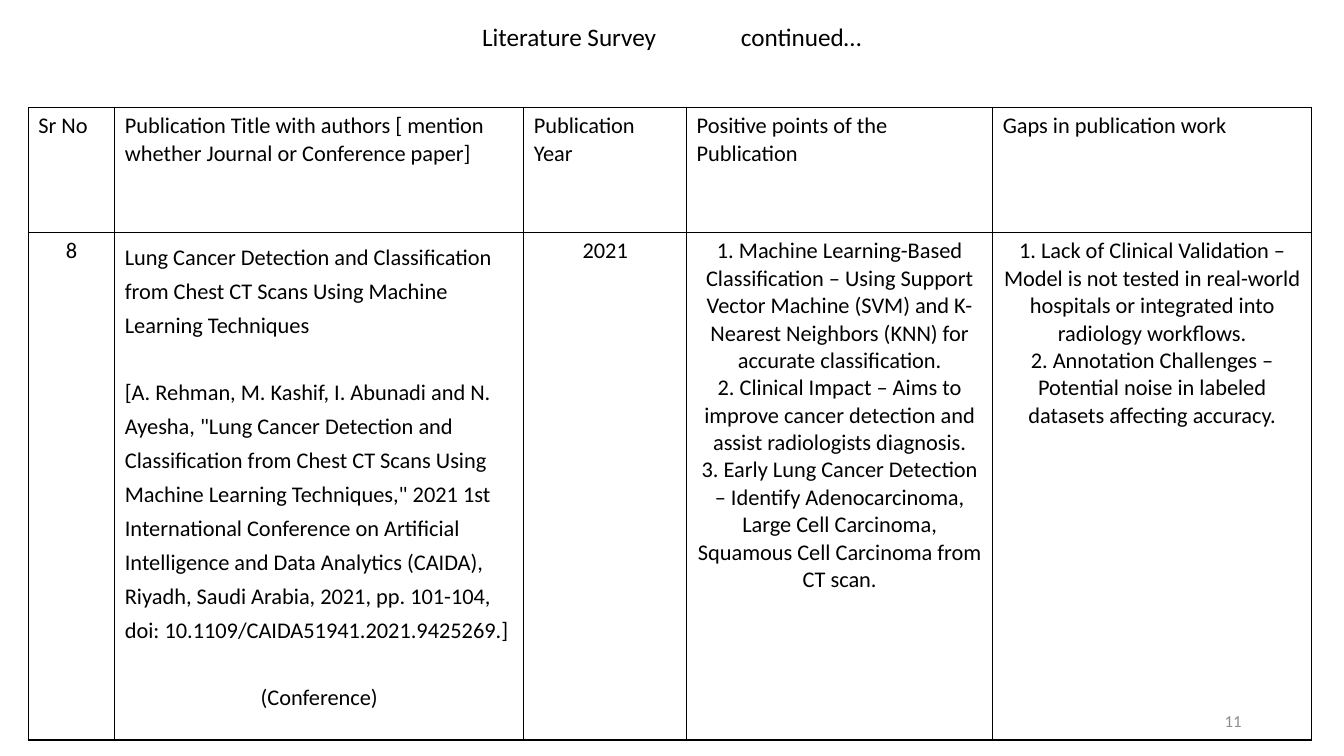
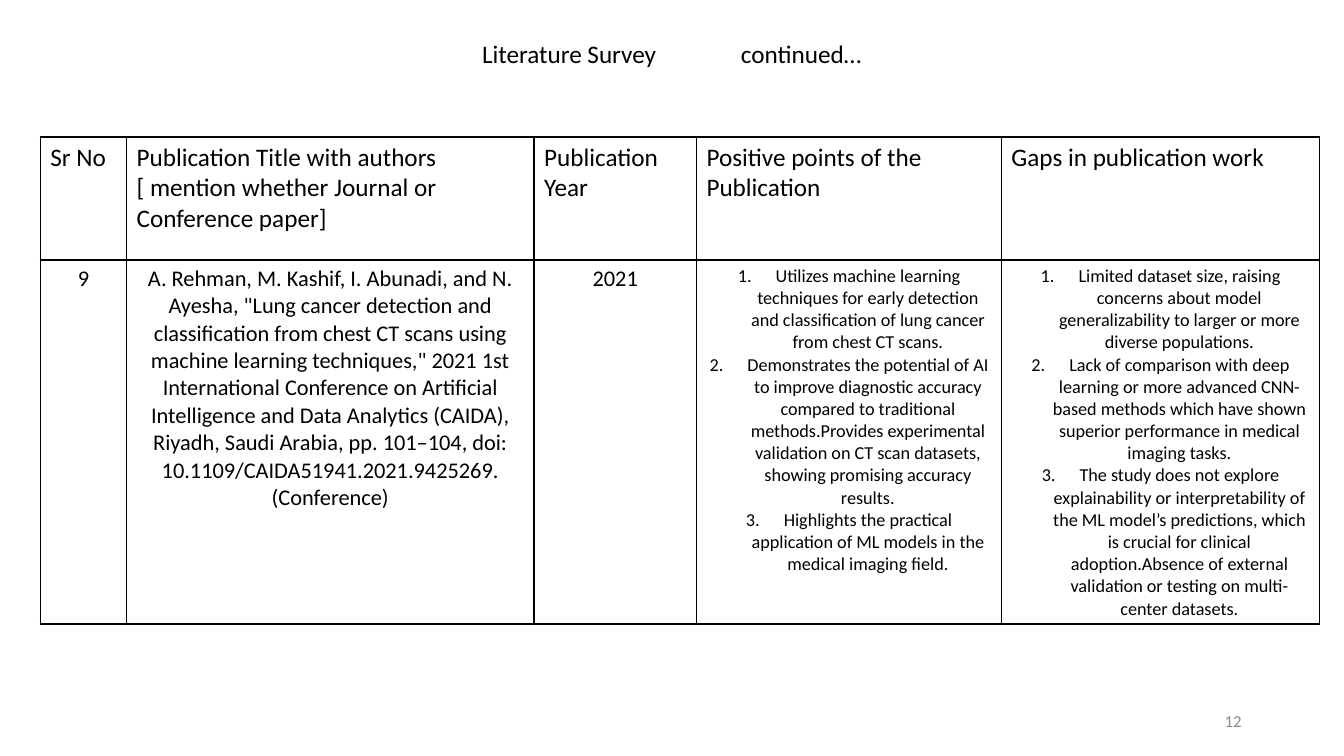
import pptx
import pptx.dml.color
import pptx.enum.text
import pptx.oxml
import pptx.oxml.ns
import pptx.util

Pt = pptx.util.Pt
ALIGN = pptx.enum.text.PP_ALIGN
ANCHOR = pptx.enum.text.MSO_ANCHOR
COLUMNS = [61.8, 292.1, 116.4, 218.6, 227.9]
HEADERS = [
    "Sr No",
    "Publication Title with authors [ mention whether Journal or Conference paper]",
    "Publication Year",
    "Positive points of the Publication",
    "Gaps in publication work",
]


def rgb(value):
    return pptx.dml.color.RGBColor.from_string(value)


class Deck:
    """Hold the shared style and the slide being built."""

    font, ink, muted = "Calibri", "000000", "8C8C8C"

    def __init__(self):
        self.prs = pptx.Presentation()
        self.prs.slide_width, self.prs.slide_height = Pt(960), Pt(540)

    def xml(self, parent, body):
        ns = pptx.oxml.ns.nsdecls("a")
        tag, rest = body.split(" ", 1)
        parent.append(pptx.oxml.parse_xml(f"<a:{tag} {ns} {rest}"))

    def style(self, p, size, color, align):
        p.alignment = align
        p.font.size, p.font.name = Pt(size), self.font
        p.font.color.rgb = rgb(color)

    def text(self, text, x, y, w, h, size, color, align):
        tf = self.s.shapes.add_textbox(Pt(x), Pt(y), Pt(w), Pt(h)).text_frame
        tf.word_wrap = True
        p = tf.paragraphs[0]
        p.text = text
        self.style(p, size, color, align)
        return tf

    def slide(self, number, title_top):
        self.s = self.prs.slides.add_slide(self.prs.slide_layouts[6])
        tf = self.text(str(number), 678, 500.5, 216, 28.8, 12, self.muted, ALIGN.RIGHT)
        tf.vertical_anchor = ANCHOR.MIDDLE
        tf = self.text("Literature Survey\tcontinued…", 160.5, title_top, 639, 34,
                       18, self.ink, ALIGN.LEFT)
        tf.margin_left, tf.margin_top = Pt(183.8), Pt(7.2)
        p = tf.paragraphs[0]
        p.line_spacing = 0.9
        pPr = p._p.get_or_add_pPr()
        pPr.insert_element_before(pptx.oxml.parse_xml(
            f'<a:tabLst {pptx.oxml.ns.nsdecls("a")}>'
            f'<a:tab pos="{Pt(185)}" algn="l"/></a:tabLst>'), "a:defRPr")

    def cell(self, cell, lines, size=16, align=ALIGN.CENTER, numbered=False,
             spacing=None, gap=None):
        tf = cell.text_frame
        tf.text = "\n".join(lines)
        for i, p in enumerate(tf.paragraphs):
            pPr = p._p.get_or_add_pPr()
            if numbered:
                pPr.set("marL", str(Pt(27)))
                pPr.set("indent", str(Pt(-27)))
                self.xml(pPr, 'buAutoNum type="arabicPeriod"/>')
            if spacing:
                p.line_spacing = spacing
            if gap and i:
                p.space_before = Pt(gap)
            self.style(p, size, self.ink, align)

    def border(self, cell):
        tcPr = cell._tc.get_or_add_tcPr()
        for side in ("lnL", "lnR", "lnT", "lnB"):
            self.xml(tcPr, f'{side} w="{Pt(1)}"><a:solidFill><a:srgbClr val="{self.ink}"/>'
                           f'</a:solidFill></a:{side}>')
        cell.fill.background()

    def table(self, x, y, width, heights, header_size):
        table = self.s.shapes.add_table(2, len(COLUMNS), Pt(x), Pt(y), Pt(width),
                                        Pt(sum(heights))).table
        table.first_row = table.horz_banding = False
        for column, share in zip(table.columns, COLUMNS):
            column.width = Pt(width * share / sum(COLUMNS))
        for row, height in zip(table.rows, heights):
            row.height = Pt(height)
        for cell in table.iter_cells():
            self.border(cell)
        for i, header in enumerate(HEADERS):
            self.cell(table.cell(0, i), [header], header_size, ALIGN.LEFT)
        return table


def main():
    deck = Deck()

    deck.slide(11, 10.8)
    table = deck.table(20.2, 76.8, 916.8, [89.3, 362.5], 16)
    deck.cell(table.cell(1, 0), ["8"])
    deck.cell(table.cell(1, 1), [
        "Lung Cancer Detection and Classification from Chest CT Scans Using Machine Learning Techniques",
        "[A. Rehman, M. Kashif, I. Abunadi and N. Ayesha, \"Lung Cancer Detection and Classification "
        "from Chest CT Scans Using Machine Learning Techniques,\" 2021 1st International Conference on "
        "Artificial Intelligence and Data Analytics (CAIDA), Riyadh, Saudi Arabia, 2021, pp. 101-104, "
        "doi: 10.1109/CAIDA51941.2021.9425269.]",
        "(Conference)",
    ], align=ALIGN.LEFT, spacing=1.24, gap=24)
    table.cell(1, 1).text_frame.paragraphs[-1].alignment = ALIGN.CENTER
    deck.cell(table.cell(1, 2), ["2021"])
    deck.cell(table.cell(1, 3), [
        "1. Machine Learning-Based Classification – Using Support Vector Machine (SVM) and "
        "K-Nearest Neighbors (KNN) for accurate classification.",
        "2. Clinical Impact – Aims to improve cancer detection and assist radiologists diagnosis.",
        "3. Early Lung Cancer Detection – Identify Adenocarcinoma, Large Cell Carcinoma, "
        "Squamous Cell Carcinoma from CT scan.",
    ])
    deck.cell(table.cell(1, 4), [
        "1. Lack of Clinical Validation – Model is not tested in real-world hospitals or "
        "integrated into radiology workflows.",
        "2. Annotation Challenges – Potential noise in labeled datasets affecting accuracy.",
    ])

    deck.slide(12, 22.3)
    table = deck.table(28.8, 97.9, 913.7, [87.8, 260], 18)
    deck.cell(table.cell(1, 0), ["9"])
    deck.cell(table.cell(1, 1), [
        "A. Rehman, M. Kashif, I. Abunadi, and N. Ayesha, \"Lung cancer detection and classification "
        "from chest CT scans using machine learning techniques,\" 2021 1st International Conference on "
        "Artificial Intelligence and Data Analytics (CAIDA), Riyadh, Saudi Arabia, pp. 101–104, "
        "doi: 10.1109/CAIDA51941.2021.9425269.",
        "(Conference)",
    ])
    deck.cell(table.cell(1, 2), ["2021"])
    deck.cell(table.cell(1, 3), [
        "Utilizes machine learning techniques for early detection and classification of lung cancer "
        "from chest CT scans.",
        "Demonstrates the potential of AI to improve diagnostic accuracy compared to traditional "
        "methods.Provides experimental validation on CT scan datasets, showing promising accuracy results.",
        "Highlights the practical application of ML models in the medical imaging field.",
    ], 13, numbered=True)
    deck.cell(table.cell(1, 4), [
        "Limited dataset size, raising concerns about model generalizability to larger or more "
        "diverse populations.",
        "Lack of comparison with deep learning or more advanced CNN-based methods which have shown "
        "superior performance in medical imaging tasks.",
        "The study does not explore explainability or interpretability of the ML model’s predictions, "
        "which is crucial for clinical adoption.Absence of external validation or testing on "
        "multi-center datasets.",
    ], 13, numbered=True)

    deck.prs.save("out.pptx")


if __name__ == "__main__":
    main()
